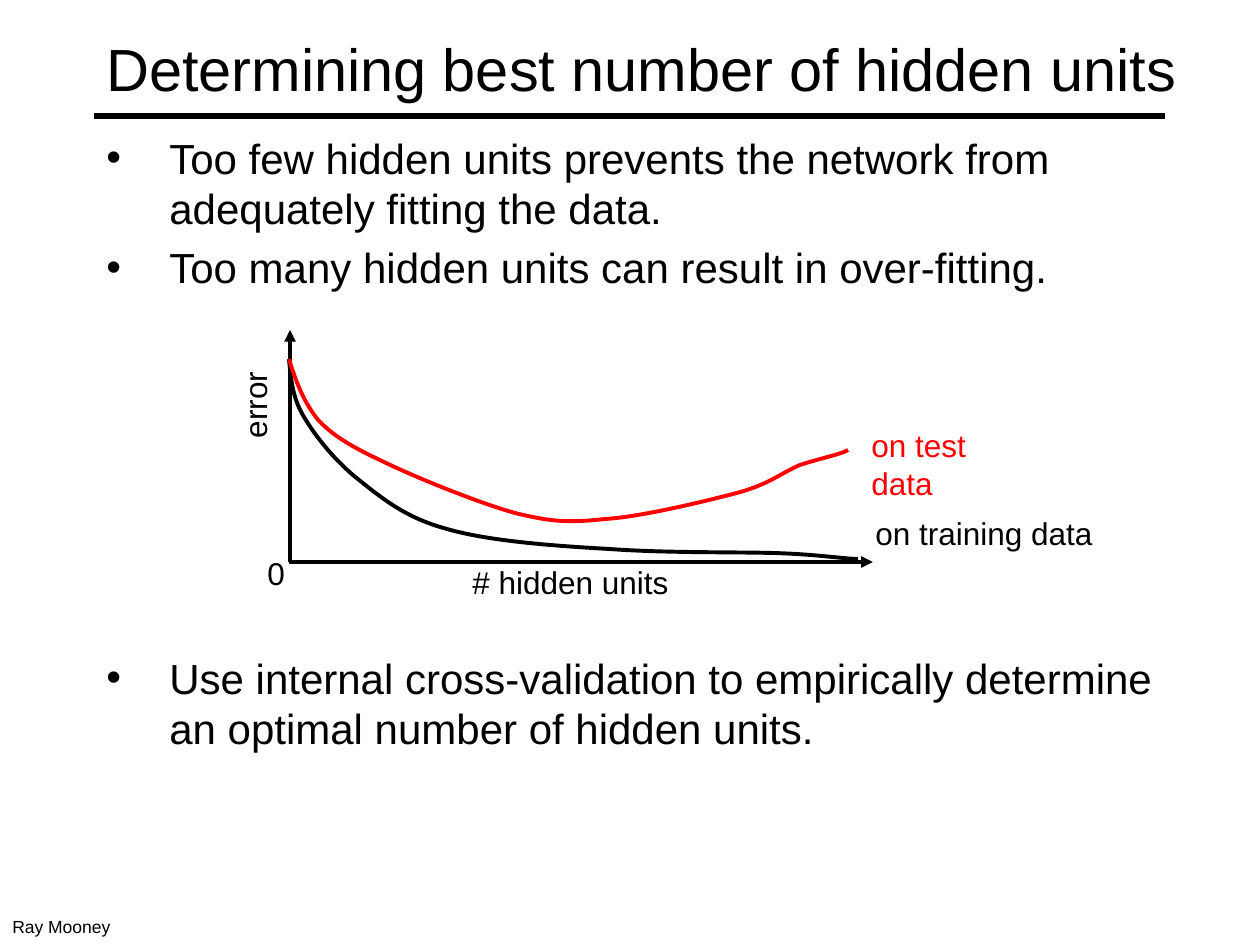
from dataclasses import dataclass
from lxml.etree import SubElement
from pptx import Presentation
from pptx.dml.color import RGBColor
from pptx.enum.shapes import MSO_CONNECTOR
from pptx.enum.text import MSO_ANCHOR
from pptx.oxml.ns import qn
from pptx.util import Emu, Pt

SCALE = 914400 / 126  # EMU per px


@dataclass(frozen=True)
class Theme:
    font: str = "Arial"
    ink: RGBColor = RGBColor(0, 0, 0)
    test: RGBColor = RGBColor(255, 0, 0)
    title: int = 34
    body: int = 24
    label: int = 18
    credit: int = 10
    rule: float = 3
    stroke: float = 2.25


THEME = Theme()

# Each curve: start point, then two control points and an end point per segment
TRAINING_CURVE = [
    (0, 29),
    (2, 48), (3, 67), (15, 87),
    (27, 107), (46, 131), (70, 150),
    (94, 169), (117, 188), (158, 199),
    (199, 211), (265, 216), (320, 219),
    (374, 223), (442, 222), (483, 223),
    (525, 224), (556, 229), (569, 229),
]
TEST_CURVE = [
    (0, 29),
    (7, 52), (15, 73), (30, 91),
    (46, 107), (63, 117), (95, 132),
    (128, 148), (190, 173), (226, 183),
    (263, 192), (279, 193), (316, 189),
    (352, 187), (417, 171), (448, 163),
    (481, 154), (492, 143), (511, 135),
    (529, 129), (553, 124), (559, 120),
]


def px(n):
    return Emu(round(n * SCALE))


def add_text(s, box, paragraphs, size, color=THEME.ink, wrap=False):
    sp = s.shapes.add_textbox(*map(px, box))
    tf = sp.text_frame
    tf.word_wrap = wrap
    tf.text = "\n".join(paragraphs)
    for p in tf.paragraphs:
        for r in p.runs:
            r.font.name = THEME.font
            r.font.size = Pt(size)
            r.font.color.rgb = color
    return sp


def add_line(s, x1, y1, x2, y2, width, arrow=False):
    line = s.shapes.add_connector(MSO_CONNECTOR.STRAIGHT, *map(px, (x1, y1, x2, y2)))
    line.line.color.rgb = THEME.ink
    line.line.width = Pt(width)
    if arrow:
        SubElement(line.line._get_or_add_ln(), qn("a:tailEnd"), type="triangle")
    SubElement(line._element.spPr, qn("a:effectLst"))


def add_curve(s, left, top, points, color):
    knots = points[::3]
    builder = s.shapes.build_freeform(*knots[0], scale=SCALE)
    builder.add_line_segments(knots[1:], close=False)
    sp = builder.convert_to_shape(px(left), px(top))
    sp.shadow.inherit = False
    sp.fill.background()
    sp.line.color.rgb = color
    sp.line.width = Pt(THEME.stroke)
    # Turn each straight segment into a Bezier segment
    x0, y0 = min(x for x, _ in knots), min(y for _, y in knots)
    for i, segment in enumerate(sp._element.xpath(".//a:lnTo")):
        segment.tag = qn("a:cubicBezTo")
        segment.remove(segment[0])
        for x, y in points[3 * i + 1:3 * i + 4]:
            SubElement(segment, qn("a:pt"), x=str(x - x0), y=str(y - y0))


def add_title(s, left, top, width, height):
    add_line(s, left, top + 106, left + 1071, top + 106, THEME.rule)
    sp = add_text(s, (left, top, width, height),
                  ["Determining best number of hidden units"], THEME.title, wrap=True)
    sp.text_frame.vertical_anchor = MSO_ANCHOR.MIDDLE


def add_bullets(s, left, top, width, height):
    sp = add_text(s, (left, top, width, height), [
        "Too few hidden units prevents the network from adequately fitting the data.",
        "Too many hidden units can result in over-fitting.",
        "Use internal cross-validation to empirically determine an optimal number of hidden units.",
    ], THEME.body, wrap=True)
    # The last bullet leaves room for the graph
    for p, gap in zip(sp.text_frame.paragraphs, (0, 4.8, 206)):
        p.space_before = Pt(gap)
        pPr = p._p.get_or_add_pPr()
        pPr.set("marL", str(px(63)))
        pPr.set("indent", str(-px(63)))
        SubElement(pPr, qn("a:buFont"), typeface=THEME.font)
        SubElement(pPr, qn("a:buChar"), char="•")


def add_error_graph(s, left, top, width, height):
    # Axes
    add_line(s, left + 1, top + height, left + 1, top, THEME.stroke, arrow=True)
    add_line(s, left, top + height, left + width, top + height, THEME.stroke, arrow=True)
    # Axis and curve labels
    labels = [
        ("error", (-79, 47, 93, 54), THEME.ink),
        ("on training data", (574, 178, 244, 54), THEME.ink),
        ("on test data", (570, 90, 150, 92), THEME.test),
        ("0", (-34, 218, 43, 54), THEME.ink),
        ("# hidden units", (171, 227, 223, 54), THEME.ink),
    ]
    for text, (x, y, w, h), color in labels:
        sp = add_text(s, (left + x, top + y, w, h), [text], THEME.label, color,
                      wrap=color == THEME.test)
        if text == "error":
            sp.rotation = 270
    # Curves
    add_curve(s, left, top, TRAINING_CURVE, THEME.ink)
    add_curve(s, left, top, TEST_CURVE, THEME.test)


def main():
    prs = Presentation()
    prs.slide_width, prs.slide_height = px(1260), px(945)
    s = prs.slides.add_slide(prs.slide_layouts[6])
    add_title(s, 94, 10, 1102, 116)
    add_bullets(s, 94, 126, 1071, 724)
    add_error_graph(s, 289, 330, 584, 232)
    # Credit
    add_text(s, (0, 910, 125, 34), ["Ray Mooney"], THEME.credit)
    prs.save("out.pptx")


if __name__ == "__main__":
    main()
